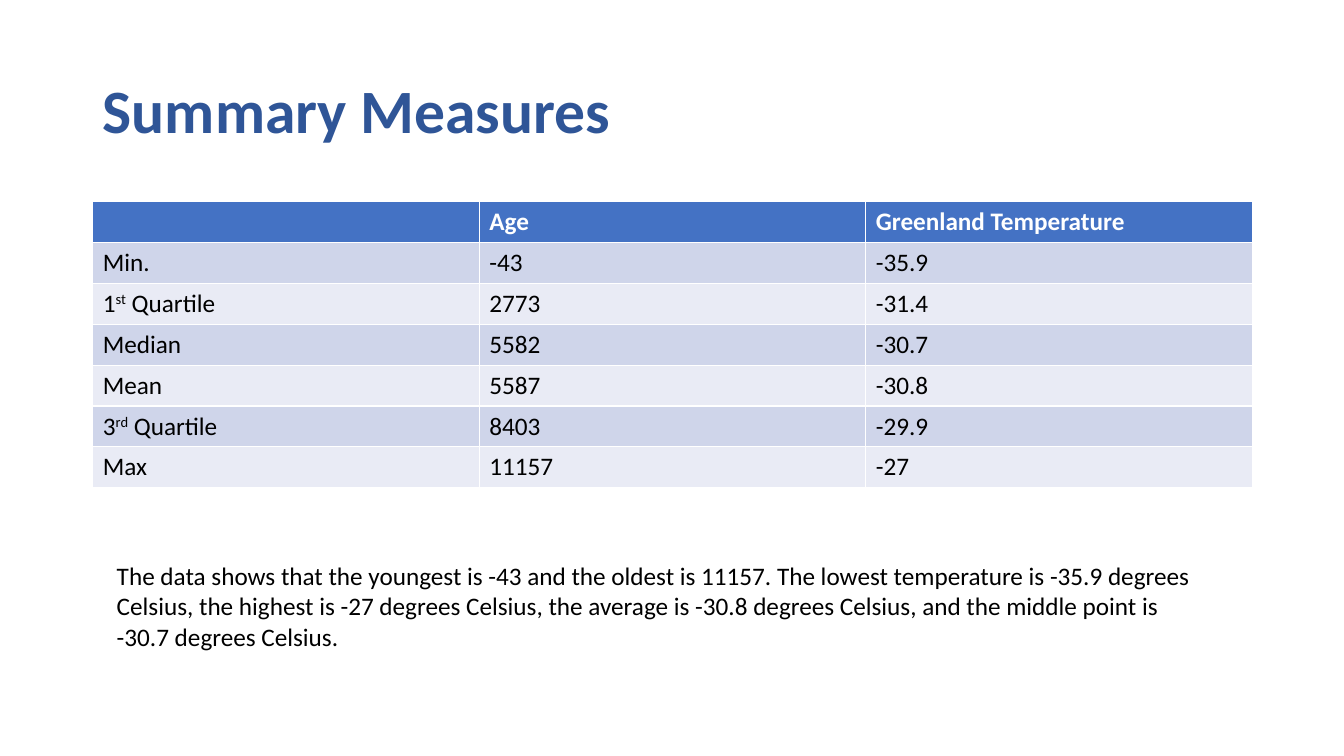
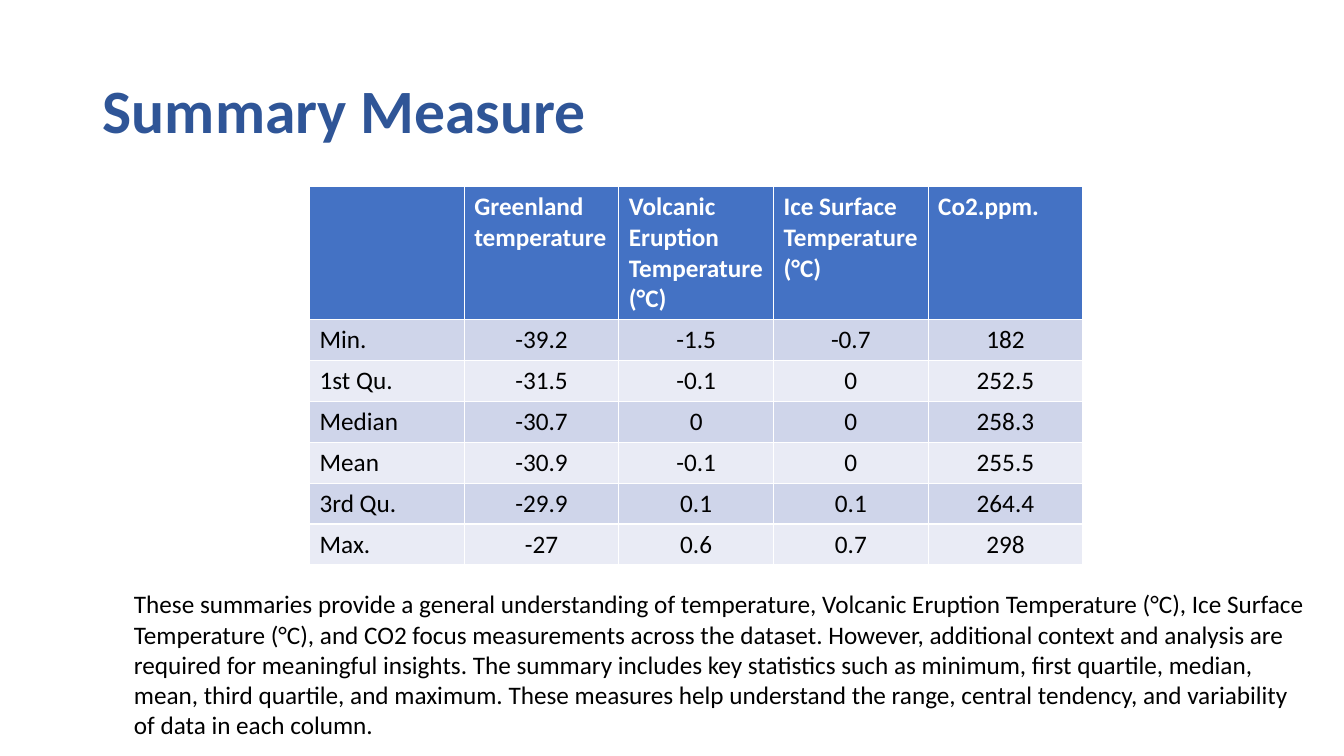
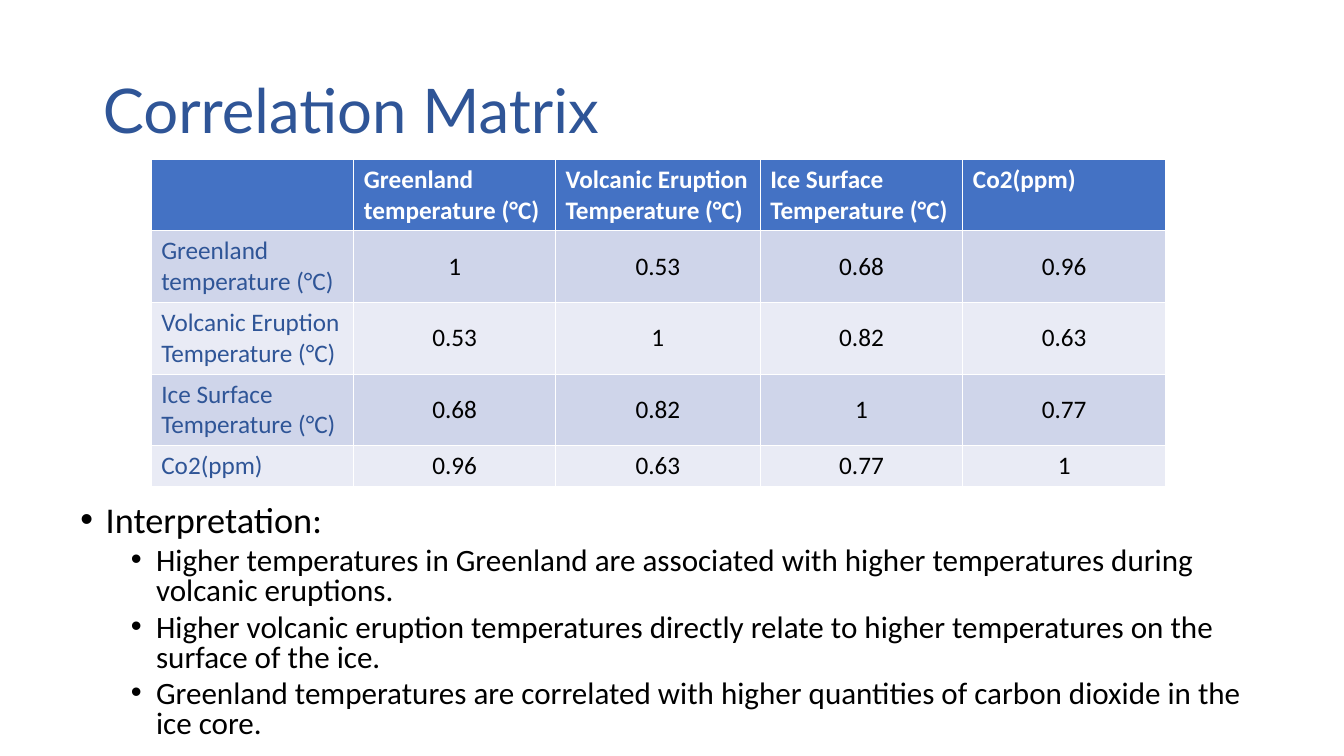
import pptx
import pptx.util
import pptx.dml.color
import pptx.enum.text
import pptx.oxml
import pptx.oxml.ns

Inches, Pt = pptx.util.Inches, pptx.util.Pt
PP_ALIGN = pptx.enum.text.PP_ALIGN
MIDDLE = pptx.enum.text.MSO_ANCHOR.MIDDLE

# Shared style
FONT = "Calibri"
TITLE_BLUE, HEADER_BLUE = "2F5597", "4472C4"
BANDS = ("CFD5EA", "E9EBF5")
BLACK, WHITE = "000000", "FFFFFF"
ROW_HEIGHT = 0.4

# Content: text between carets is superscript
GREENLAND = "Greenland temperature (°C)"
VOLCANIC = "Volcanic Eruption Temperature (°C)"
ICE = "Ice Surface Temperature (°C)"
VARIABLES = [GREENLAND, VOLCANIC, ICE, "Co2(ppm)"]

AGE_ROWS = [
    ["", "Age", "Greenland Temperature"],
    ["Min.", "-43", "-35.9"],
    ["1^st^ Quartile", "2773", "-31.4"],
    ["Median", "5582", "-30.7"],
    ["Mean", "5587", "-30.8"],
    ["3^rd^ Quartile", "8403", "-29.9"],
    ["Max", "11157", "-27"],
]
AGE_NOTE = (
    "The data shows that the youngest is -43 and the oldest is 11157. The lowest "
    "temperature is -35.9 degrees Celsius, the highest is -27 degrees Celsius, the "
    "average is -30.8 degrees Celsius, and the middle point is\v-30.7 degrees Celsius."
)

CLIMATE_ROWS = [
    ["", "Greenland temperature", VOLCANIC, ICE, "Co2.ppm."],
    ["Min.", "-39.2", "-1.5", "-0.7", "182"],
    ["1st Qu.", "-31.5", "-0.1", "0", "252.5"],
    ["Median", "-30.7", "0", "0", "258.3"],
    ["Mean", "-30.9", "-0.1", "0", "255.5"],
    ["3rd Qu.", "-29.9", "0.1", "0.1", "264.4"],
    ["Max.", "-27", "0.6", "0.7", "298"],
]
CLIMATE_NOTE = (
    "These summaries provide a general understanding of temperature, Volcanic Eruption "
    "Temperature (°C), Ice Surface Temperature (°C), and CO2 focus measurements across "
    "the dataset. However, additional context and analysis are required for meaningful "
    "insights. The summary includes key statistics such as minimum, first quartile, "
    "median, mean, third quartile, and maximum. These measures help understand the "
    "range, central tendency, and variability of data in each column."
)

CORRELATIONS = [
    ["1", "0.53", "0.68", "0.96"],
    ["0.53", "1", "0.82", "0.63"],
    ["0.68", "0.82", "1", "0.77"],
    ["0.96", "0.63", "0.77", "1"],
]
CORRELATION_ROWS = [["", *VARIABLES]] + [
    [name, *values] for name, values in zip(VARIABLES, CORRELATIONS)
]
INTERPRETATION = [
    (0, "Interpretation:"),
    (1, "Higher temperatures in Greenland are associated with higher temperatures "
        "during volcanic eruptions."),
    (1, "Higher volcanic eruption temperatures directly relate to higher temperatures "
        "on the surface of the ice."),
    (1, "Greenland temperatures are correlated with higher quantities of carbon dioxide "
        "in the ice core."),
]
# Per level: left indent in inches, text size, space before
LEVELS = [(0.25, 25.9, 10), (0.75, 22.2, 5)]


def rgb(value):
    return pptx.dml.color.RGBColor.from_string(value)


def set_font(font, size, color, bold=False, name=FONT):
    font.name, font.size, font.bold = name, Pt(size), bold
    font.color.rgb = rgb(color)


def add_titled_slide(deck, text, bold=True, font_name=FONT):
    slide = deck.slides.add_slide(deck.slide_layouts[5])
    title = slide.shapes.title
    title.left, title.top = Inches(0.92), Inches(0.4)
    title.width, title.height = Inches(11.5), Inches(1.45)
    frame = title.text_frame
    frame.text = text
    frame.auto_size = pptx.enum.text.MSO_AUTO_SIZE.NONE
    frame.vertical_anchor = MIDDLE
    heading = frame.paragraphs[0]
    heading.alignment = PP_ALIGN.LEFT
    heading.line_spacing = 0.9
    set_font(heading.font, 44, TITLE_BLUE, bold, font_name)
    return slide


def add_measures(slide, rows, left, top, widths, heights,
                 centred=True, margin=None, label_color=BLACK):
    table = slide.shapes.add_table(
        len(rows), len(widths), Inches(left), Inches(top),
        Inches(sum(widths)), Inches(sum(heights))).table
    for column, width in zip(table.columns, widths):
        column.width = Inches(width)
    for row, height in zip(table.rows, heights):
        row.height = Inches(height)

    for r, values in enumerate(rows):
        for c, value in enumerate(values):
            cell = table.cell(r, c)
            header = r == 0
            cell.fill.solid()
            cell.fill.fore_color.rgb = rgb(HEADER_BLUE if header else BANDS[(r - 1) % 2])
            paragraph = cell.text_frame.paragraphs[0]
            for i, part in enumerate(value.split("^")):
                if part:
                    run = paragraph.add_run()
                    run.text = part
                    if i % 2:
                        run.font._element.set("baseline", "30000")
            color = WHITE if header else label_color if c == 0 else BLACK
            set_font(paragraph.font, 18, color, header)
            if centred and not header and c > 0:
                paragraph.alignment = PP_ALIGN.CENTER
                cell.vertical_anchor = MIDDLE
                if margin is not None:
                    cell.margin_left = cell.margin_right = Inches(margin)
                    cell.margin_top = cell.margin_bottom = Inches(margin)


def add_text_frame(slide, left, top, width, height):
    box = slide.shapes.add_textbox(Inches(left), Inches(top), Inches(width), Inches(height))
    box.text_frame.word_wrap = True
    return box.text_frame


def add_note(slide, text, *place):
    frame = add_text_frame(slide, *place)
    frame.text = text
    set_font(frame.paragraphs[0].font, 18, BLACK)


def add_bullets(slide, items, *place):
    frame = add_text_frame(slide, *place)
    for i, (level, text) in enumerate(items):
        paragraph = frame.paragraphs[0] if i == 0 else frame.add_paragraph()
        indent, size, space = LEVELS[level]
        paragraph.text = text
        paragraph.level = level
        paragraph.line_spacing = 0.8
        if i:
            paragraph.space_before = Pt(space)
        properties = paragraph._p.get_or_add_pPr()
        properties.set("marL", str(Inches(indent)))
        properties.set("indent", str(Inches(-0.25)))
        for tag, key, value in (("a:buFont", "typeface", "Arial"), ("a:buChar", "char", "•")):
            bullet = pptx.oxml.parse_xml(f"<{tag} {pptx.oxml.ns.nsdecls('a')}/>")
            bullet.set(key, value)
            properties.append(bullet)
        set_font(paragraph.font, size, BLACK)


def main():
    deck = pptx.Presentation()
    deck.slide_width, deck.slide_height = Inches(13.33), Inches(7.5)

    # Age and temperature summary
    slide = add_titled_slide(deck, "Summary Measures")
    add_measures(slide, AGE_ROWS, 0.92, 2, [11.5 / 3] * 3, [ROW_HEIGHT] * 7, centred=False)
    add_note(slide, AGE_NOTE, 1.06, 5.51, 11.5, 1.01)

    # Climate summary
    slide = add_titled_slide(deck, "Summary Measure")
    add_measures(slide, CLIMATE_ROWS, 3.07, 1.85, [7.67 / 5] * 5,
                 [1.31] + [ROW_HEIGHT] * 6, margin=0.01)
    add_note(slide, CLIMATE_NOTE, 1.23, 5.79, 11.81, 1.62)

    # Correlations
    slide = add_titled_slide(deck, "Correlation Matrix", bold=False, font_name="Lato")
    add_measures(slide, CORRELATION_ROWS, 1.5, 1.58, [2.01, 2, 2.03, 2.01, 2.01],
                 [0.71] * 4 + [ROW_HEIGHT], label_color=TITLE_BLUE)
    add_bullets(slide, INTERPRETATION, 0.7, 4.97, 11.94, 2.6)

    deck.save("out.pptx")


if __name__ == "__main__":
    main()
